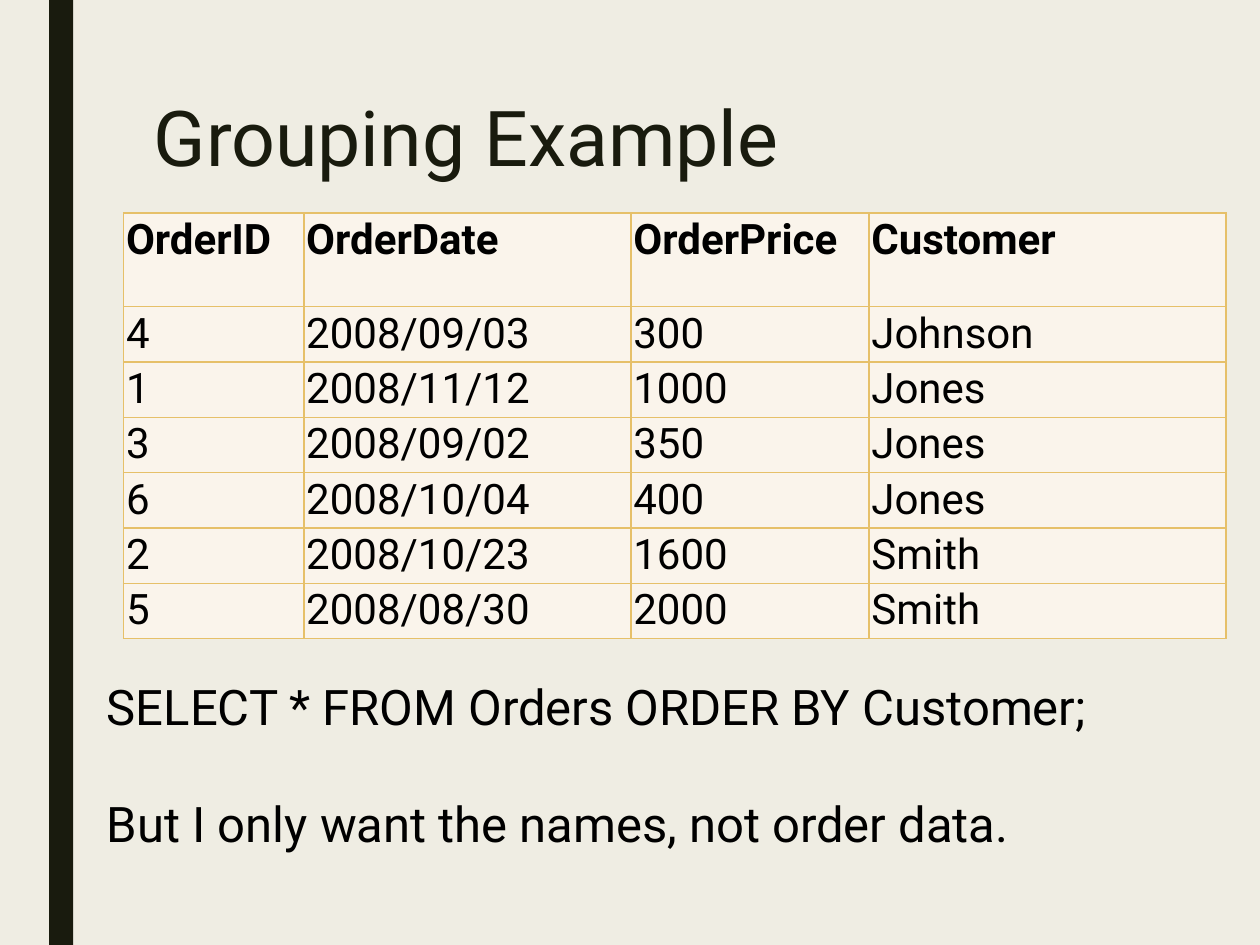
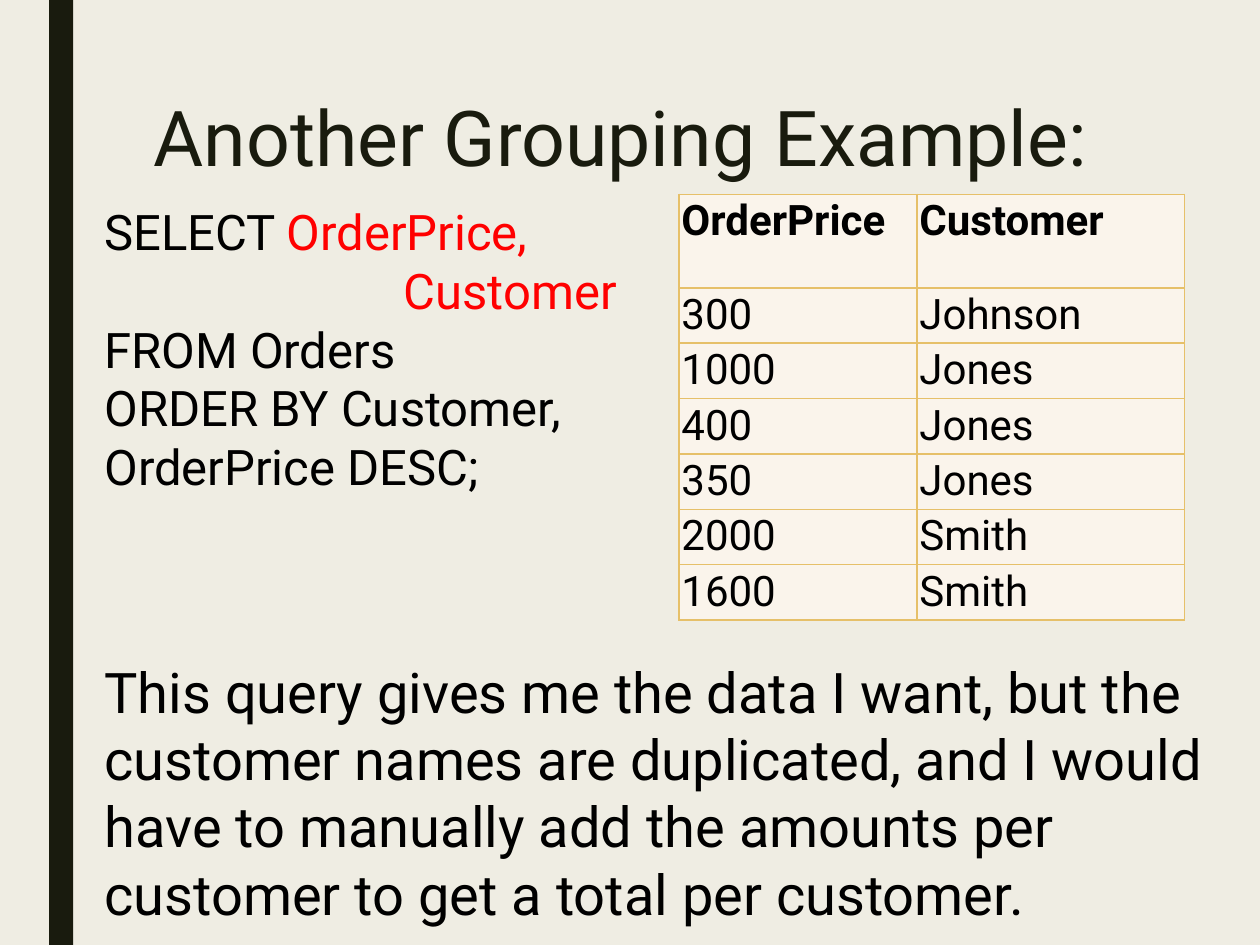
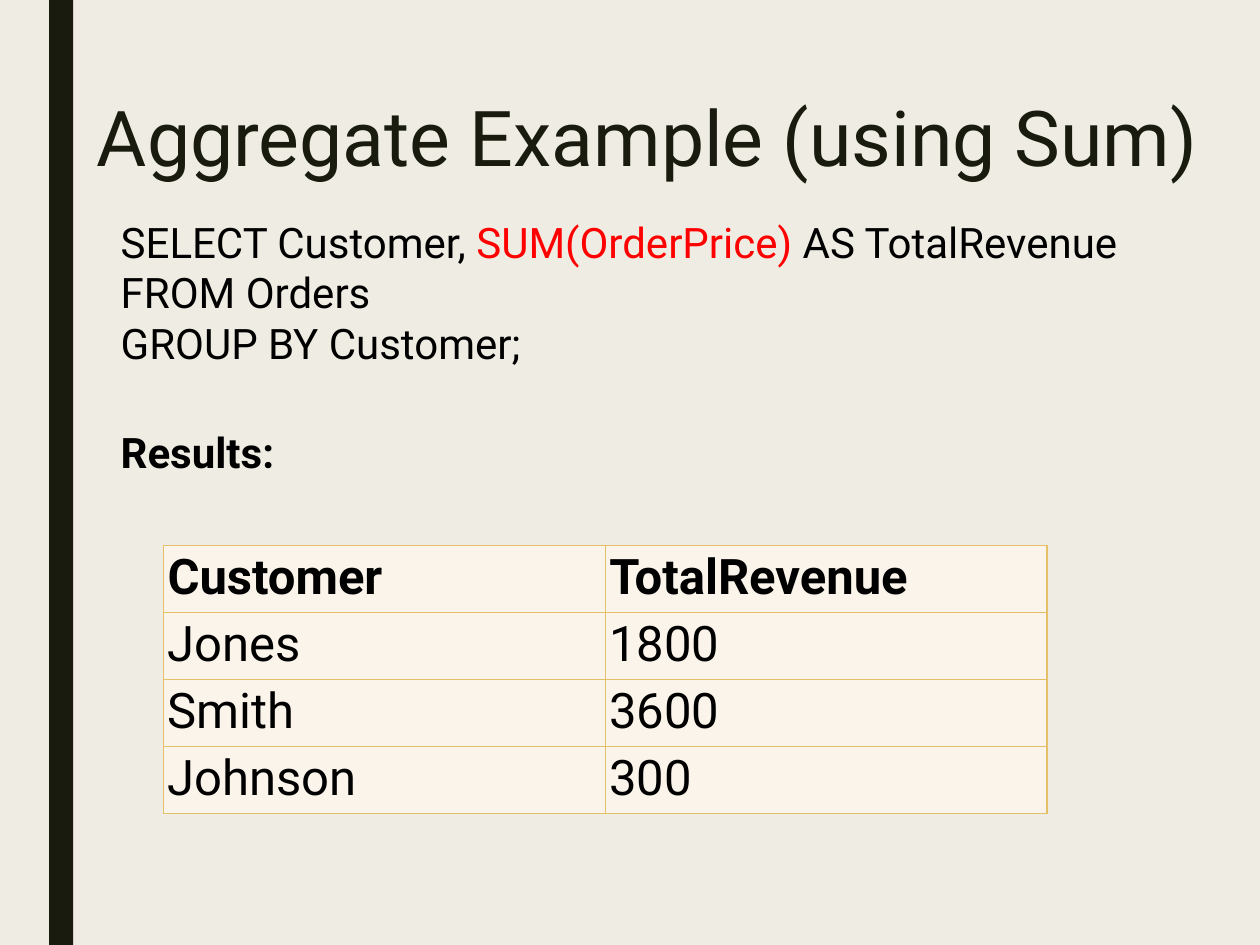
from dataclasses import dataclass

from lxml import etree
from pptx import Presentation
from pptx import util as u
from pptx.dml.color import RGBColor
from pptx.enum import shapes, text
from pptx.oxml import ns

Pt = u.Pt
FONT = "Roboto"
WIDE, HIGH = 720, 540
GAP = 33.4
HUES = {
    "page": "EFEDE3",
    "dark": "191B0E",
    "ink": "000000",
    "key": "FF0000",
    "cell": "FAF4EB",
    "rule": "E6C069",
}


@dataclass
class Box:
    left: float
    top: float
    wide: float
    high: float

    def spots(self) -> tuple:
        return Pt(self.left), Pt(self.top), Pt(self.wide), Pt(self.high)


@dataclass
class Line:
    bits: list[tuple[str, str]]
    size: float
    space: float = 0
    dent: float = 0
    bold: bool = False


@dataclass
class Grid:
    left: float
    top: float
    cols: list[float]
    head: float
    row: float
    size: float
    inset: float
    data: list[list[str]]


def hue(name: str) -> RGBColor:
    return RGBColor.from_string(HUES[name])


def style(para, size: float, tint: str = "ink", bold: bool = False) -> None:
    font = para.font
    font.name, font.size, font.bold = FONT, Pt(size), bold
    font.color.rgb = hue(tint)


def plain(words: str, size: float, **more) -> Line:
    return Line([(words, "ink")], size, **more)


def start(deck, title: str, left: float = 80.6, wide: float = 567.4):
    slide = deck.slides.add_slide(deck.slide_layouts[5])
    bar = slide.shapes.add_shape(
        shapes.MSO_SHAPE.RECTANGLE, *Box(28.1, 0, 13.7, HIGH).spots())
    bar.shadow.inherit = False
    bar.fill.solid()
    bar.fill.fore_color.rgb = hue("dark")
    bar.line.fill.background()

    head = slide.shapes.title
    head.left, head.top, head.width, head.height = Box(left, 54, wide, 116.6).spots()
    frame = head.text_frame
    frame.text = title
    frame.auto_size = text.MSO_AUTO_SIZE.NONE
    frame.vertical_anchor = text.MSO_ANCHOR.TOP
    para = frame.paragraphs[0]
    para.alignment = text.PP_ALIGN.LEFT
    para.line_spacing = 0.89
    style(para, 44, "dark")
    return slide


def write(slide, box: Box, lines: list[Line]) -> None:
    frame = slide.shapes.add_textbox(*box.spots()).text_frame
    frame.word_wrap = True
    for i, line in enumerate(lines):
        para = frame.add_paragraph() if i else frame.paragraphs[0]
        if line.dent:
            para._p.get_or_add_pPr().set("marL", str(Pt(line.dent)))
        if line.space:
            para.space_before = Pt(line.space)
        style(para, line.size, bold=line.bold)
        for words, tint in line.bits:
            run = para.add_run()
            run.text = words
            if tint != "ink":
                run.font.color.rgb = hue(tint)


def edge(cell) -> None:
    props = cell._tc.get_or_add_tcPr()
    for side in ("a:lnL", "a:lnR", "a:lnT", "a:lnB"):
        line = etree.SubElement(props, ns.qn(side), w=str(Pt(1)))
        fill = etree.SubElement(line, ns.qn("a:solidFill"))
        etree.SubElement(fill, ns.qn("a:srgbClr"), val=HUES["rule"])


def draw(slide, grid: Grid) -> None:
    count = len(grid.data)
    box = Box(grid.left, grid.top, sum(grid.cols), grid.head + grid.row * (count - 1))
    table = slide.shapes.add_table(count, len(grid.cols), *box.spots()).table
    table.first_row = table.horz_banding = False
    for col, wide in zip(table.columns, grid.cols):
        col.width = Pt(wide)
    for i, (row, words) in enumerate(zip(table.rows, grid.data)):
        row.height = Pt(grid.row if i else grid.head)
        for cell, word in zip(row.cells, words):
            cell.text = word
            cell.margin_left = cell.margin_right = Pt(grid.inset)
            cell.margin_top = cell.margin_bottom = Pt(grid.inset)
            edge(cell)
            cell.fill.solid()
            cell.fill.fore_color.rgb = hue("cell")
            style(cell.text_frame.paragraphs[0], grid.size, bold=i == 0)


def orders(left: float, top: float, cols: list[float], data: list[list[str]]) -> Grid:
    return Grid(left, top, cols, 53.5, 31.66, 24, 1.4, data)


def group(deck) -> None:
    slide = start(deck, "Grouping Example")
    write(slide, Box(54, 383, 606, 108.7), [
        plain("SELECT * FROM Orders ORDER BY Customer;", 28),
        plain("But I only want the names, not order data.", 28, space=GAP),
    ])
    draw(slide, orders(70.6, 121.7, [103, 187, 136, 204], [
        ["OrderID", "OrderDate", "OrderPrice", "Customer"],
        ["4", "2008/09/03", "300", "Johnson"],
        ["1", "2008/11/12", "1000", "Jones"],
        ["3", "2008/09/02", "350", "Jones"],
        ["6", "2008/10/04", "400", "Jones"],
        ["2", "2008/10/23", "1600", "Smith"],
        ["5", "2008/08/30", "2000", "Smith"],
    ]))


def again(deck) -> None:
    slide = start(deck, "Another Grouping Example:")
    write(slide, Box(52.6, 111.6, 312.5, 177), [
        Line([("SELECT ", "ink"), ("OrderPrice,", "key")], 28),
        Line([("Customer", "key")], 28, dent=171),
        plain("FROM Orders", 28),
        plain("ORDER BY Customer, OrderPrice DESC;", 28),
    ])
    draw(slide, orders(388, 111, [136, 152.8], [
        ["OrderPrice", "Customer"],
        ["300", "Johnson"],
        ["1000", "Jones"],
        ["400", "Jones"],
        ["350", "Jones"],
        ["2000", "Smith"],
        ["1600", "Smith"],
    ]))
    write(slide, Box(52.6, 372.2, 658, 162.7), [
        plain("This query gives me the data I want, but the customer names are "
              "duplicated, and I would have to manually add the amounts per "
              "customer to get a total per customer.", 32),
    ])


def total(deck) -> None:
    slide = start(deck, "Aggregate Example (using Sum)", 48.2, 663)
    write(slide, Box(61.9, 120.2, 599, 157.7), [
        Line([("SELECT Customer, ", "ink"), ("SUM(OrderPrice)", "key"),
              (" AS TotalRevenue", "ink")], 24),
        plain("FROM Orders", 24),
        plain("GROUP BY Customer;", 24),
        plain("Results:", 24, space=GAP, bold=True),
    ])
    draw(slide, Grid(93.4, 311.7, [252.5, 252.5], 38.15, 38.15, 28, 2.35, [
        ["Customer", "TotalRevenue"],
        ["Jones", "1800"],
        ["Smith", "3600"],
        ["Johnson", "300"],
    ]))


def main() -> None:
    deck = Presentation()
    deck.slide_width, deck.slide_height = Pt(WIDE), Pt(HIGH)
    page = deck.slide_master.background.fill
    page.solid()
    page.fore_color.rgb = hue("page")
    for build in (group, again, total):
        build(deck)
    deck.save("out.pptx")


if __name__ == "__main__":
    main()
